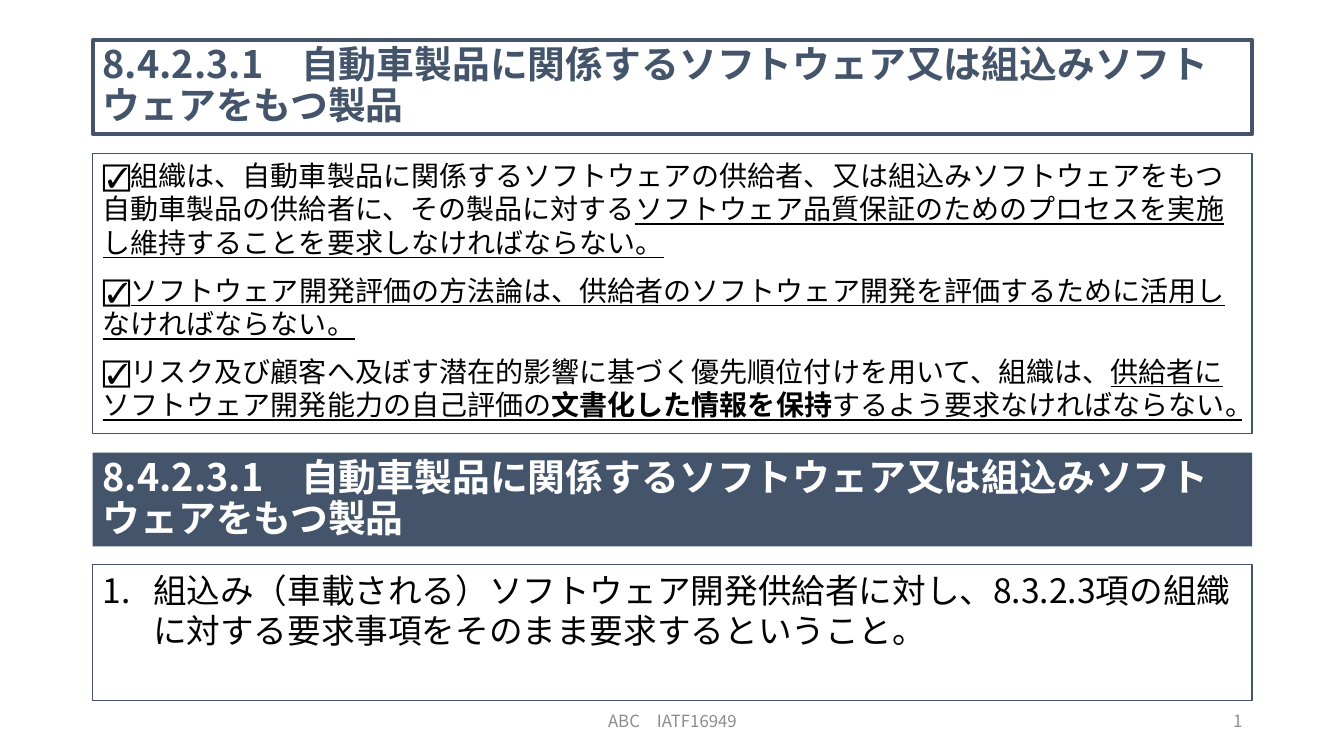
from dataclasses import dataclass

from lxml.etree import SubElement
from pptx import Presentation
from pptx.dml.color import RGBColor
from pptx.enum.shapes import MSO_SHAPE as Shape
from pptx.enum.text import MSO_ANCHOR as Anchor, PP_ALIGN as Align
from pptx.oxml.ns import qn
from pptx.util import Inches, Pt


@dataclass(frozen=True)
class Theme:
    font: str = "Noto Sans CJK JP"
    slate: str = "44546A"
    white: str = "FFFFFF"
    black: str = "000000"
    grey: str = "8C8C8C"
    heading: int = 27
    note: int = 24
    body: int = 20
    footer: int = 12


theme = Theme()


def write(box, paragraphs, size, color, bold=False, align=Align.LEFT,
          anchor=Anchor.TOP, line_spacing=None, numbered=False):
    frame = box.text_frame
    frame.word_wrap = True
    frame.vertical_anchor = anchor
    for index, spans in enumerate(paragraphs):
        para = frame.add_paragraph() if index else frame.paragraphs[0]
        para.alignment = align
        if line_spacing:
            para.line_spacing = line_spacing
        if index:
            para.space_before = Pt(10)
        if numbered:
            properties = para._p.get_or_add_pPr()
            properties.set("marL", str(Inches(0.5)))
            properties.set("indent", str(-Inches(0.5)))
            SubElement(properties, qn("a:buFont"), typeface=theme.font)
            SubElement(properties, qn("a:buAutoNum"), type="arabicPeriod")
        for text, marks in spans:
            span = para.add_run()
            span.text = text
            span.font.size = Pt(size)
            span.font.bold = bold or "b" in marks
            span.font.underline = "u" in marks
            span.font.color.rgb = RGBColor.from_string(color)
            span.font.name = theme.font
            SubElement(span._r.get_or_add_rPr(), qn("a:ea"), typeface=theme.font)


def add_panel(top, height, fill=None, line_width=None):
    panel = page.shapes.add_shape(Shape.RECTANGLE, Inches(0.92), Inches(top),
                                  Inches(11.5), Inches(height))
    panel.shadow.inherit = False
    if fill:
        panel.fill.solid()
        panel.fill.fore_color.rgb = RGBColor.from_string(fill)
    else:
        panel.fill.background()
    if line_width:
        panel.line.color.rgb = RGBColor.from_string(theme.slate)
        panel.line.width = Pt(line_width)
    else:
        panel.line.fill.background()
    return panel


deck = Presentation()
deck.slide_width = Inches(13.33)
deck.slide_height = Inches(7.5)
page = deck.slides.add_slide(deck.slide_layouts[6])

footers = [
    ("ABC　IATF16949", 4.42, 4.5, Align.CENTER),
    ("1", 9.42, 3, Align.RIGHT),
]
for text, left, width, align in footers:
    box = page.shapes.add_textbox(Inches(left), Inches(6.95), Inches(width), Inches(0.4))
    write(box, [[(text, "")]], theme.footer, theme.grey, align=align, anchor=Anchor.MIDDLE)

requirements = [
    [("☑組織は、自動車製品に関係するソフトウェアの供給者、又は組込みソフトウェアをもつ"
      "自動車製品の供給者に、その製品に対する", ""),
     ("ソフトウェア品質保証のためのプロセスを実施し維持することを要求しなければならない。", "u")],
    [("☑", ""),
     ("ソフトウェア開発評価の方法論は、供給者のソフトウェア開発を評価するために活用し"
      "なければならない。", "u")],
    [("☑リスク及び顧客へ及ぼす潜在的影響に基づく優先順位付けを用いて、組織は、", ""),
     ("供給者にソフトウェア開発能力の自己評価の", "u"),
     ("文書化した情報を保持", "ub"),
     ("するよう要求なければならない。", "u")],
]
write(add_panel(1.52, 2.78, line_width=1), requirements, theme.body, theme.black)

heading = "8.4.2.3.1　自動車製品に関係するソフトウェア又は組込みソフトウェアをもつ製品"
headings = [
    (0.4, theme.white, 3, theme.slate),
    (4.49, theme.slate, None, theme.white),
]
for top, fill, line_width, color in headings:
    write(add_panel(top, 0.93, fill, line_width), [[(heading, "")]], theme.heading, color,
          bold=True, anchor=Anchor.MIDDLE, line_spacing=0.9)

explanation = ("組込み（車載される）ソフトウェア開発供給者に対し、8.3.2.3項の組織に対する"
               "要求事項をそのまま要求するということ。")
write(add_panel(5.6, 1.35, line_width=1), [[(explanation, "")]], theme.note, theme.black,
      numbered=True)

deck.save("out.pptx")
